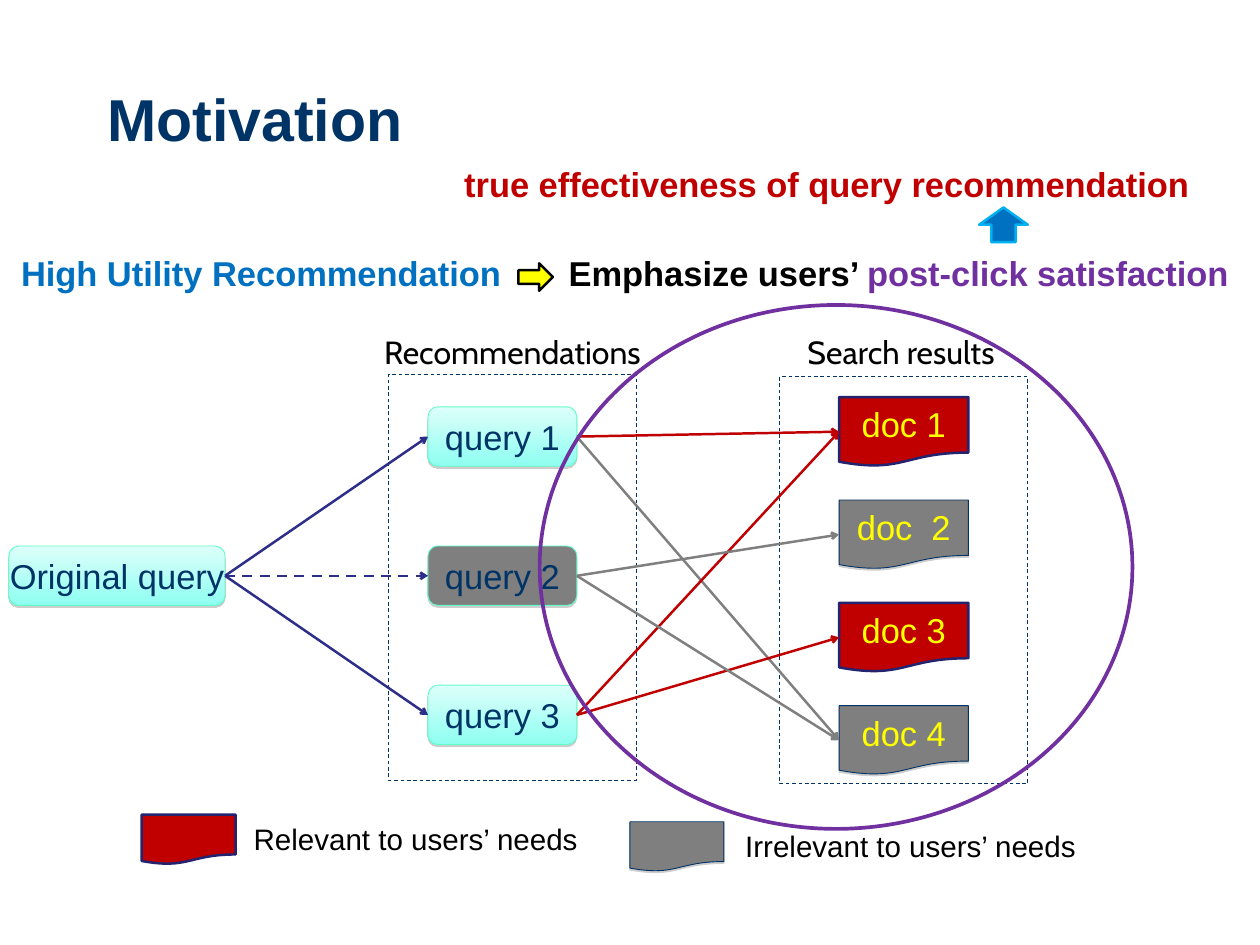
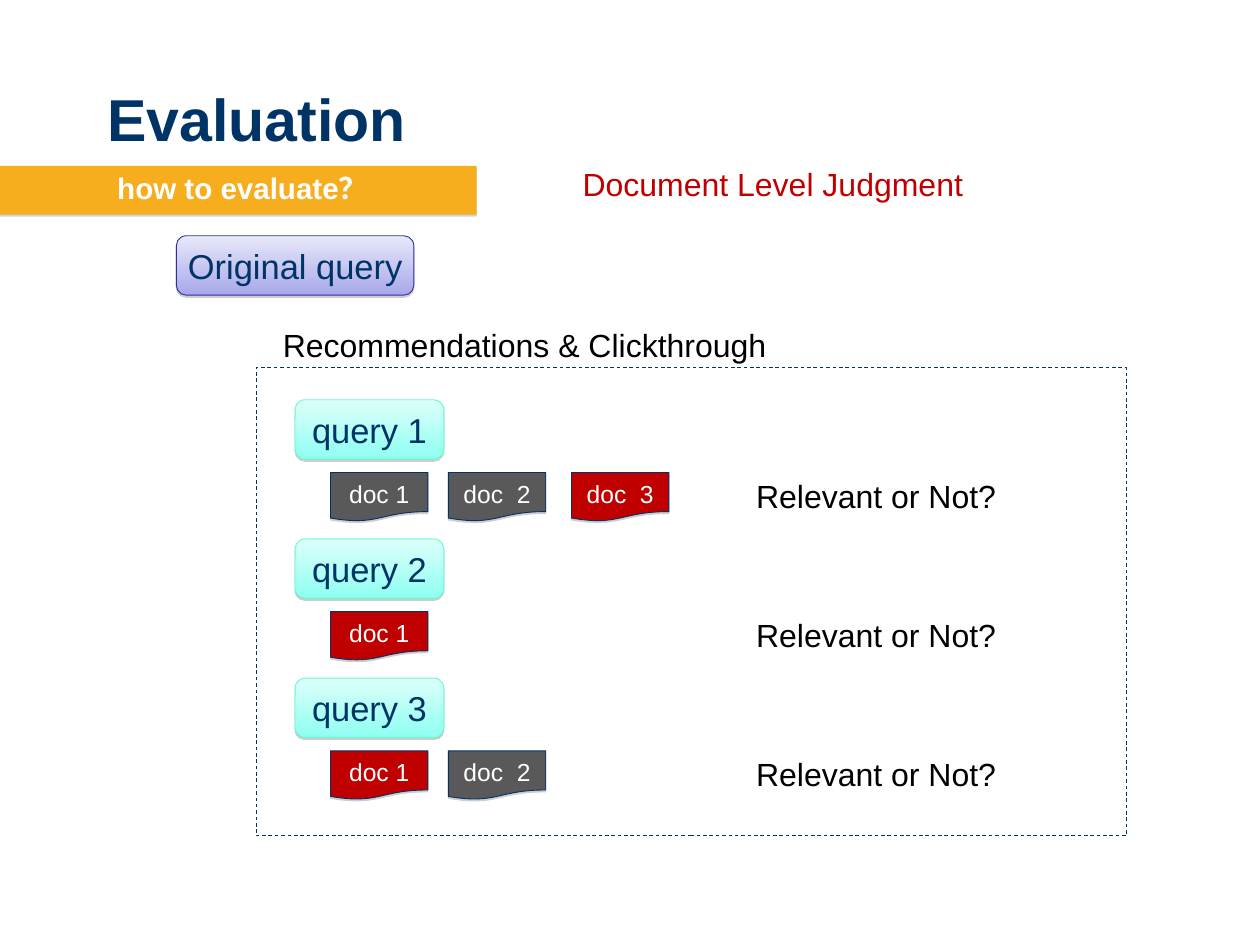
from dataclasses import dataclass
from typing import NamedTuple, Optional

from pptx import Presentation
from pptx.dml.color import RGBColor
from pptx.enum.dml import MSO_LINE
from pptx.enum.shapes import MSO_CONNECTOR, MSO_SHAPE as Preset
from pptx.enum.text import MSO_ANCHOR as Anchor, MSO_AUTO_SIZE, PP_ALIGN as Align
from pptx.oxml.ns import qn
from pptx.util import Emu, Pt
from lxml.etree import SubElement

EMU_PER_PX = 9144  # 100 px to the inch
TOP, LEFT, BOTTOM, RIGHT = range(4)


class Box(NamedTuple):
    x: int
    y: int
    w: int
    h: int


class Insets(NamedTuple):
    left: int
    top: int
    right: int
    bottom: int


class Face(NamedTuple):
    size: int
    color: str
    bold: bool = False
    font: str = "Arial"


class Shadow(NamedTuple):
    opacity: int
    distance: float


class Look(NamedTuple):
    fill: tuple[str, ...] = ()  # none, solid or two gradient stops
    line: Optional[str] = None
    weight: float = 0.75
    dashed: bool = False
    shadow: Optional[Shadow] = None


SOFT = Shadow(38, 1.6)
WIDE, SLIM, TIGHT = Insets(14, 7, 14, 7), Insets(10, 5, 10, 5), Insets(4, 4, 4, 4)


@dataclass(frozen=True)
class Theme:
    # colours
    navy: str = "003366"
    red: str = "C00000"
    gray: str = "7F7F7F"
    indigo: str = "2D2D8A"
    purple: str = "7030A0"
    blue: str = "0070C0"
    black: str = "000000"
    white: str = "FFFFFF"
    # type
    title: Face = Face(48, navy, True)
    node: Face = Face(28, navy)
    doc: Face = Face(28, "FFFF00")
    small_doc: Face = Face(20, white)
    heading: Face = Face(26, black)
    group: Face = Face(26, black, font="Cabin")
    judgment: Face = Face(26, red)
    legend: Face = Face(24, black)
    band: Face = Face(24, white, True)
    # looks
    query: Look = Look(("DDFFFA", "8EFFF1"), "60FDC9", shadow=SOFT)
    gray_query: Look = Look((gray,), "60FDC9", shadow=SOFT)
    source: Look = Look(("E8E8FA", "A8A8EA"), "2F2F98", shadow=SOFT)
    relevant: Look = Look((red,), "23236F", 2)
    irrelevant: Look = Look((gray,), "003266", shadow=SOFT)
    clicked: Look = Look((red,), "003266", shadow=SOFT)
    skipped: Look = Look(("595959",), "003266", shadow=SOFT)
    frame: Look = Look((), navy, dashed=True)
    banner: Look = Look(("F6AE1E",), shadow=Shadow(35, 1.8))
    focus: Look = Look((), purple, 3)
    up: Look = Look((blue,), "00B0F0", 2)
    leads: Look = Look(("FFFF00",), black, 2)


T = Theme()


def px(n: int) -> Emu:
    return Emu(n * EMU_PER_PX)


def rgb(color: str) -> RGBColor:
    return RGBColor.from_string(color)


def emphasis(size_color: str) -> Face:
    return Face(28, size_color, True)


def write(tf, runs: list[tuple[str, Face]], insets: Insets, align=Align.CENTER,
          anchor=Anchor.TOP, wrap: bool = False, spacing: float = 1.0) -> None:
    tf.auto_size = MSO_AUTO_SIZE.NONE
    tf.word_wrap = wrap
    tf.vertical_anchor = anchor
    tf.margin_left, tf.margin_top, tf.margin_right, tf.margin_bottom = map(px, insets)
    p = tf.paragraphs[0]
    p.alignment = align
    p.line_spacing = spacing
    for text, face in runs:
        r = p.add_run()
        r.text = text
        r.font.name, r.font.size, r.font.bold = face.font, Pt(face.size), face.bold
        r.font.color.rgb = rgb(face.color)


def add_label(s, box: Box, runs: list[tuple[str, Face]], insets: Insets = WIDE,
              align=Align.CENTER, wrap: bool = False) -> None:
    tb = s.shapes.add_textbox(*map(px, box))
    write(tb.text_frame, runs, insets, align, wrap=wrap)


def cast_shadow(sp, shadow: Shadow) -> None:
    effects = sp._element.spPr.find(qn("a:effectLst"))
    outer = SubElement(effects, qn("a:outerShdw"), blurRad="0",
                       dist=str(int(Pt(shadow.distance))), dir="5400000",
                       algn="ctr", rotWithShape="0")
    color = SubElement(outer, qn("a:srgbClr"), val="808080")
    SubElement(color, qn("a:alpha"), val=str(shadow.opacity * 1000))


def add_figure(s, preset: Preset, box: Box, look: Look, text: str = "",
               face: Face = T.node):
    sp = s.shapes.add_shape(preset, *map(px, box))
    sp.shadow.inherit = False
    if len(look.fill) == 2:
        sp.fill.gradient()
        sp.fill.gradient_angle = 270
        for stop, color in zip(sp.fill.gradient_stops, look.fill):
            stop.color.rgb = rgb(color)
    elif look.fill:
        sp.fill.solid()
        sp.fill.fore_color.rgb = rgb(look.fill[0])
    else:
        sp.fill.background()
    if look.line:
        sp.line.color.rgb = rgb(look.line)
        sp.line.width = Pt(look.weight)
        if look.dashed:
            sp.line.dash_style = MSO_LINE.DASH
    else:
        sp.line.fill.background()
    if look.shadow:
        cast_shadow(sp, look.shadow)
    if text:
        write(sp.text_frame, [(text, face)], WIDE)
    return sp


def add_arrow(s, start, end, color: str, dashed: bool = False) -> None:
    c = s.shapes.add_connector(MSO_CONNECTOR.STRAIGHT, 0, 0, 0, 0)
    c.begin_connect(start, RIGHT)
    c.end_connect(end, LEFT)
    c.line.color.rgb = rgb(color)
    c.line.width = Pt(2)
    if dashed:
        c.line.dash_style = MSO_LINE.DASH
    SubElement(c.line._get_or_add_ln(), qn("a:tailEnd"), type="arrow")
    SubElement(c._element.spPr, qn("a:effectLst"))


def add_titled_slide(prs, title: str):
    s = prs.slides.add_slide(prs.slide_layouts[5])
    ph = s.shapes.title
    ph.left, ph.top, ph.width, ph.height = map(px, Box(117, 0, 1244, 178))
    write(ph.text_frame, [(title, T.title)], TIGHT, Align.LEFT, Anchor.BOTTOM, True, 0.9)
    return s


def build_motivation(prs) -> None:
    s = add_titled_slide(prs, "Motivation")

    # Claims above the diagram
    add_label(s, Box(632, 279, 790, 57),
              [("Emphasize users’ ", emphasis(T.black)),
               ("post-click satisfaction", emphasis(T.purple))], SLIM, Align.LEFT, True)
    add_label(s, Box(514, 179, 908, 57),
              [("true effectiveness of query recommendation", emphasis(T.red))],
              SLIM, Align.LEFT, True)
    add_label(s, Box(0, 279, 589, 57),
              [("High Utility Recommendation", emphasis(T.blue))], SLIM, wrap=True)
    add_figure(s, Preset.UP_ARROW, Box(1105, 234, 55, 39), T.up)
    add_figure(s, Preset.RIGHT_ARROW, Box(585, 297, 39, 31), T.leads)

    # Framed groups
    for frame, label, text in (
            (Box(438, 423, 280, 457), Box(405, 368, 347, 58), "Recommendations"),
            (Box(880, 425, 280, 459), Box(883, 368, 268, 58), "Search results")):
        add_figure(s, Preset.RECTANGLE, frame, T.frame)
        add_label(s, label, [(text, T.group)])

    # Queries and documents
    origin = add_figure(s, Preset.ROUNDED_RECTANGLE, Box(10, 616, 244, 67),
                        T.query, "Original query")
    queries = [add_figure(s, Preset.ROUNDED_RECTANGLE, Box(483, 459 + 157 * i, 168, 67),
                          look, f"query {i + 1}")
               for i, look in enumerate((T.query, T.gray_query, T.query))]
    docs = [add_figure(s, Preset.FLOWCHART_DOCUMENT, Box(947, 448 + 116 * i, 146, 78),
                       T.irrelevant if i % 2 else T.relevant, text, T.doc)
            for i, text in enumerate(("doc 1", "doc  2", "doc 3", "doc 4"))]

    # Arrows
    for i, query in enumerate(queries):
        add_arrow(s, origin, query, T.indigo, dashed=i == 1)
    for q, d in ((0, 0), (0, 3), (2, 2), (2, 0), (1, 1), (1, 3)):
        add_arrow(s, queries[q], docs[d], T.gray if d % 2 else T.red)

    # Legend
    for key, label, look, text in (
            (Box(160, 919, 106, 56), Box(254, 919, 430, 54), T.relevant,
             "Relevant to users’ needs"),
            (Box(711, 927, 106, 56), Box(790, 927, 475, 54), T.irrelevant,
             "Irrelevant to users’ needs")):
        add_figure(s, Preset.FLOWCHART_DOCUMENT, key, look)
        add_label(s, label, [(text, T.legend)], wrap=True)

    # Focus ring
    add_figure(s, Preset.OVAL, Box(609, 344, 669, 591), T.focus)


def build_evaluation(prs) -> None:
    s = add_titled_slide(prs, "Evaluation")

    # Banner and headings
    band = add_figure(s, Preset.RECTANGLE, Box(0, 187, 538, 55), T.banner)
    write(band.text_frame, [("how to evaluate？", T.band)], Insets(30, 2, 20, 0),
          anchor=Anchor.MIDDLE, wrap=True, spacing=0.8)
    add_label(s, Box(643, 179, 459, 58), [("Document Level Judgment", T.judgment)])
    add_figure(s, Preset.ROUNDED_RECTANGLE, Box(199, 266, 268, 67),
               T.source, "Original query")
    add_figure(s, Preset.RECTANGLE, Box(289, 415, 982, 528), T.frame)
    add_label(s, Box(305, 360, 575, 58), [("Recommendations & Clickthrough", T.heading)])

    # Each query with its clicked and skipped documents
    doc_names, doc_lefts = ("doc 1", "doc  2", "doc  3"), (373, 506, 645)
    rows = ((T.skipped, T.skipped, T.clicked), (T.clicked,), (T.clicked, T.skipped))
    for i, looks in enumerate(rows):
        y = 451 + 157 * i
        add_figure(s, Preset.ROUNDED_RECTANGLE, Box(333, y, 168, 67),
                   T.query, f"query {i + 1}")
        for name, x, look in zip(doc_names, doc_lefts, looks):
            add_figure(s, Preset.FLOWCHART_DOCUMENT, Box(x, y + 82, 110, 55),
                       look, name, T.small_doc)
        add_label(s, Box(839, y + 79, 300, 58), [("Relevant or Not?", T.heading)])


def main() -> None:
    prs = Presentation()
    prs.slide_width, prs.slide_height = px(1422), px(1066)
    build_motivation(prs)
    build_evaluation(prs)
    prs.save("out.pptx")


if __name__ == "__main__":
    main()
